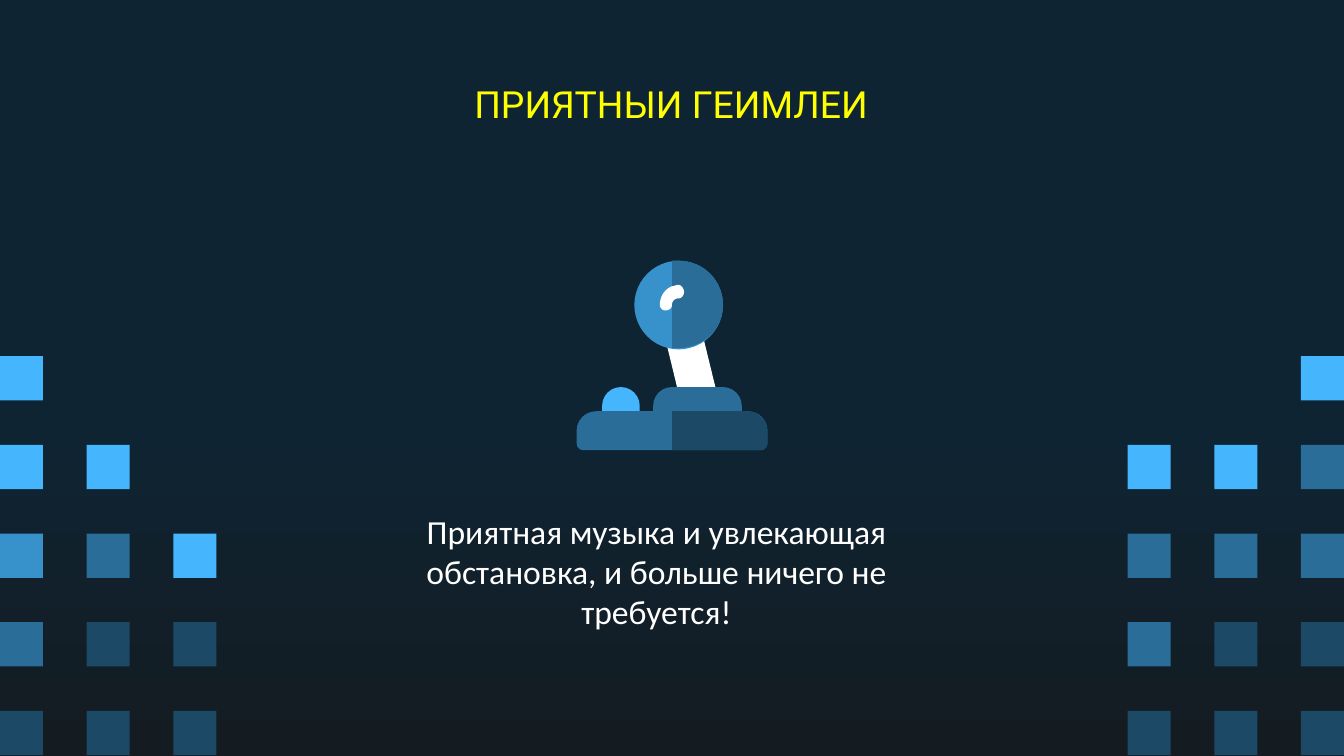
from pptx import Presentation
from pptx.dml.color import RGBColor
from pptx.enum.shapes import MSO_SHAPE
from pptx.enum.text import MSO_ANCHOR, PP_ALIGN
from pptx.util import Inches, Pt

SKY, AZURE, BLUE, NAVY, WHITE = "45B6FE", "3792CB", "296D98", "1C4966", "FFFFFF"
TOP, BOTTOM = "0E2433", "141C21"

# Rows of squares from top to bottom; None leaves a gap
SIDES = [
    (0, [(SKY, None, None), (SKY, SKY, None), (AZURE, BLUE, SKY),
         (BLUE, NAVY, NAVY), (NAVY, NAVY, NAVY)]),
    (8.39, [(None, None, SKY), (SKY, SKY, BLUE), (BLUE, BLUE, BLUE),
            (BLUE, NAVY, NAVY), (NAVY, NAVY, NAVY)]),
]
FIRST, STEP_X, STEP_Y = 2.65, 0.645, 0.66
SQUARE = (0.32, 0.33)

TEXTS = [
    ("ПРИЯТНЫИ ГЕИМЛЕИ", (0.78, 0.59, 8.43, 0.36), MSO_ANCHOR.MIDDLE,
     {"name": "Roboto", "size": Pt(20)}, "FFFF00"),
    ("Приятная музыка и увлекающая обстановка, и больше ничего не требуется!",
     (2.65, 3.7, 4.47, 1.41), MSO_ANCHOR.TOP,
     {"name": "Calibri", "size": Pt(18)}, WHITE),
]

# Outlines: two numbers are a corner, six are a Bezier curve
STICK = [(5.18, 2.46), (4.95, 2.52), (5.05, 2.93),
         (5.05, 2.96, 5.07, 2.97, 5.09, 2.97), (5.28, 2.97),
         (5.31, 2.97, 5.33, 2.94, 5.33, 2.91), (5.23, 2.5),
         (5.22, 2.48, 5.2, 2.46, 5.18, 2.46)]
BALL = [(5.05, 1.94), (5, 1.94), (5, 2.59), (5.05, 2.59),
        (5.23, 2.59, 5.38, 2.45, 5.38, 2.27),
        (5.38, 2.08, 5.23, 1.94, 5.05, 1.94)]
GLINT = [(5.05, 2.12), (5.03, 2.12, 5.01, 2.13, 5, 2.13),
         (4.95, 2.15, 4.91, 2.2, 4.91, 2.27),
         (4.91, 2.29, 4.93, 2.31, 4.95, 2.31),
         (4.98, 2.31, 5, 2.29, 5, 2.27), (5, 2.24, 5.02, 2.22, 5.05, 2.22),
         (5.07, 2.22, 5.09, 2.2, 5.09, 2.17),
         (5.09, 2.15, 5.07, 2.12, 5.05, 2.12)]
BASE = [(5, 3.06), (5, 3.35), (5.66, 3.35),
        (5.68, 3.35, 5.71, 3.33, 5.71, 3.3), (5.71, 3.21),
        (5.71, 3.13, 5.64, 3.06, 5.56, 3.06)]

DOME = MSO_SHAPE.ROUND_2_SAME_RECTANGLE
ROUND = (0.5, 0.17)

# Joystick from back to front: outline or preset, colour, box, corner radii
PARTS = [
    (STICK, WHITE, None, ()),
    (MSO_SHAPE.OVAL, AZURE, (4.72, 1.94, 0.66, 0.66), ()),
    (BALL, BLUE, None, ()),
    (DOME, BLUE, (4.86, 2.88, 0.66, 0.28), ROUND),
    (DOME, SKY, (4.48, 2.88, 0.28, 0.28), ROUND),
    (GLINT, WHITE, None, ()),
    (DOME, BLUE, (4.29, 3.06, 1.42, 0.29), ROUND),
    (BASE, NAVY, None, ()),
]


def tint(color, code):
    color.rgb = RGBColor.from_string(code)


def paint(shape, code):
    shape.shadow.inherit = False
    shape.fill.solid()
    tint(shape.fill.fore_color, code)
    shape.line.fill.background()


def preset(slide, kind, code, box, radii=()):
    shape = slide.shapes.add_shape(kind, *map(Inches, box))
    for i, size in enumerate(radii):
        shape.adjustments[i] = size
    paint(shape, code)


def outline(slide, route, code, steps=10):
    """Draw a closed shape, with its curves cut into short lines."""
    points = [route[0]]
    for part in route[1:]:
        if len(part) == 2:
            points.append(part)
            continue
        nodes = [points[-1], part[:2], part[2:4], part[4:]]
        for i in range(1, steps + 1):
            t = i / steps
            u = 1 - t
            rates = (u ** 3, 3 * u * u * t, 3 * u * t * t, t ** 3)
            points.append(tuple(sum(r * n[k] for r, n in zip(rates, nodes))
                                for k in (0, 1)))
    spots = [(Inches(x), Inches(y)) for x, y in points]
    pen = slide.shapes.build_freeform(*spots[0])
    pen.add_line_segments(spots[1:], close=True)
    paint(pen.convert_to_shape(), code)


def write(slide, words, box, anchor, style, code):
    frame = slide.shapes.add_textbox(*map(Inches, box)).text_frame
    form = {"word_wrap": True, "vertical_anchor": anchor}
    for side in ("left", "top", "right", "bottom"):
        form["margin_" + side] = Inches(0.1)
    for key, value in form.items():
        setattr(frame, key, value)
    line = frame.paragraphs[0]
    line.alignment = PP_ALIGN.CENTER
    run = line.add_run()
    run.text = words
    for key, value in style.items():
        setattr(run.font, key, value)
    tint(run.font.color, code)


def main():
    deck = Presentation()
    deck.slide_width = Inches(10)
    deck.slide_height = deck.slide_width * 9 // 16
    slide = deck.slides.add_slide(deck.slide_layouts[6])

    back = slide.background.fill
    back.gradient()
    back.gradient_angle = 270
    for stop, place, code in zip(back.gradient_stops, (0.56, 1), (TOP, BOTTOM)):
        stop.position = place
        tint(stop.color, code)

    for left, rows in SIDES:
        for i, row in enumerate(rows):
            for j, code in enumerate(row):
                if code:
                    spot = (left + j * STEP_X, FIRST + i * STEP_Y)
                    preset(slide, MSO_SHAPE.RECTANGLE, code, spot + SQUARE)

    for text in TEXTS:
        write(slide, *text)

    for form, code, box, radii in PARTS:
        if box:
            preset(slide, form, code, box, radii)
        else:
            outline(slide, form, code)

    deck.save("out.pptx")


if __name__ == "__main__":
    main()
